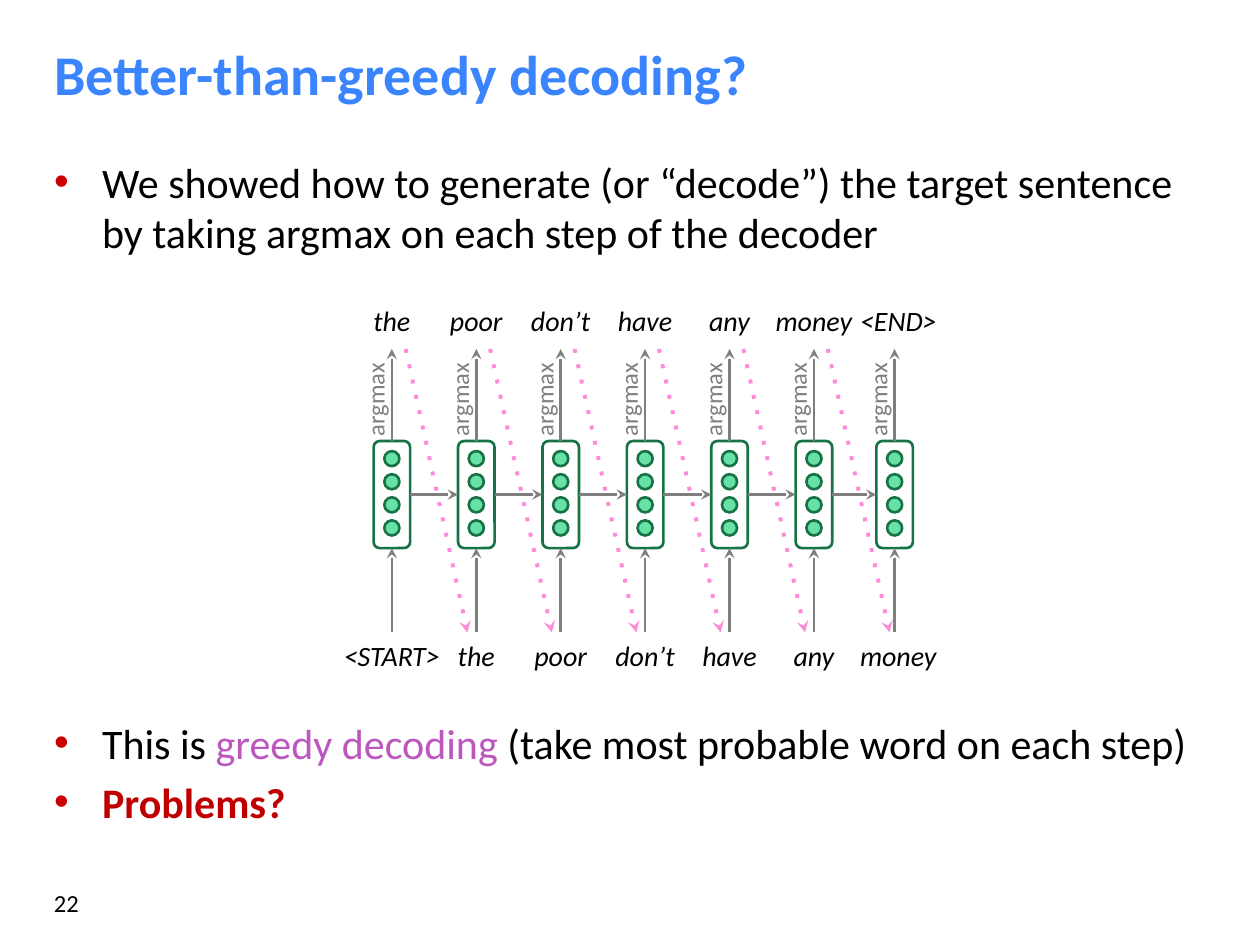
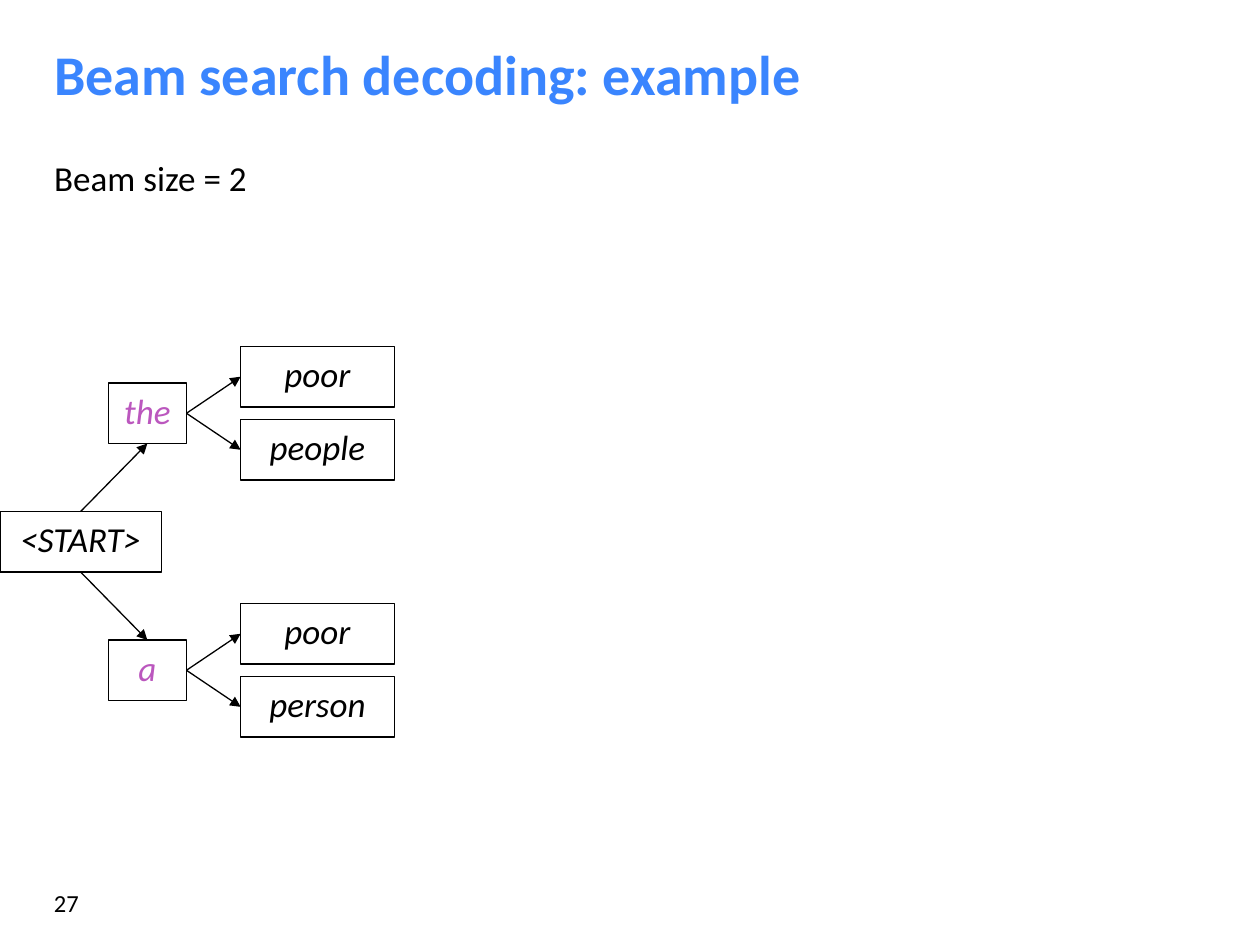
from dataclasses import dataclass

import lxml.etree
import pptx
import pptx.dml.color
import pptx.enum.shapes
import pptx.enum.text
import pptx.oxml.ns
import pptx.util

Inches = pptx.util.Inches
Shapes = pptx.enum.shapes.MSO_SHAPE
Align = pptx.enum.text.PP_ALIGN
Anchor = pptx.enum.text.MSO_ANCHOR
TOP, LEFT, BOTTOM, RIGHT = range(4)


@dataclass(frozen=True)
class Theme:
    font: str = "Calibri"
    title: str = "3A85FE"
    text: str = "000000"
    bullet: str = "CC0000"
    warning: str = "C00000"
    highlight: str = "BB57BE"
    cell_line: str = "177245"
    cell_fill: str = "42DA8F"
    arrow: str = "7F7F7F"
    feedback: str = "FF8AD8"
    title_size: int = 32
    list_size: int = 24
    tree_size: int = 20
    word_size: int = 16
    small_size: int = 14


THEME = Theme()


# Shared helpers
def rgb(value):
    return pptx.dml.color.RGBColor.from_string(value)


def add_xml(parent, tag, **attributes):
    return lxml.etree.SubElement(parent, pptx.oxml.ns.qn(tag), attributes)


def add_run(paragraph, text, size, color=THEME.text, bold=False, italic=False):
    run = paragraph.add_run()
    run.text = text
    run.font.name = THEME.font
    run.font.size = pptx.util.Pt(size)
    run.font.bold = bold
    run.font.italic = italic
    run.font.color.rgb = rgb(color)


def place(shape, left, top, width, height):
    shape.left, shape.top = Inches(left), Inches(top)
    shape.width, shape.height = Inches(width), Inches(height)


def prepare_frame(shape, anchor=Anchor.TOP):
    frame = shape.text_frame
    frame.word_wrap = True
    frame.auto_size = pptx.enum.text.MSO_AUTO_SIZE.NONE
    frame.vertical_anchor = anchor
    return frame


def add_label(slide, text, left, top, width, height, size,
              color=THEME.text, italic=False, align=Align.CENTER):
    box = slide.shapes.add_textbox(
        Inches(left), Inches(top), Inches(width), Inches(height))
    paragraph = prepare_frame(box).paragraphs[0]
    paragraph.alignment = align
    add_run(paragraph, text, size, color, italic=italic)
    return box


def add_outline(slide, kind, left, top, width, height, color, weight):
    shape = slide.shapes.add_shape(
        kind, Inches(left), Inches(top), Inches(width), Inches(height))
    shape.shadow.inherit = False
    shape.fill.background()
    shape.line.color.rgb = rgb(color)
    shape.line.width = pptx.util.Pt(weight)
    return shape


def add_arrow(slide, start, end, color, weight, head, dash=None):
    """Draw an arrow; each end is a point or a (shape, side) pair."""
    points = [(0, 0) if hasattr(stop[0], "shape_id") else stop
              for stop in (start, end)]
    connector = slide.shapes.add_connector(
        pptx.enum.shapes.MSO_CONNECTOR.STRAIGHT,
        *(Inches(value) for point in points for value in point))
    if hasattr(start[0], "shape_id"):
        connector.begin_connect(*start)
    if hasattr(end[0], "shape_id"):
        connector.end_connect(*end)
    connector.line.color.rgb = rgb(color)
    connector.line.width = pptx.util.Pt(weight)
    properties = connector.element.spPr
    line = properties.find(pptx.oxml.ns.qn("a:ln"))
    if dash:
        add_xml(line, "a:prstDash", val=dash)
    add_xml(line, "a:tailEnd", type=head)
    add_xml(properties, "a:effectLst")


def start_slide(presentation, title, number):
    """Add a slide with its title and page number; return it and its body."""
    slide = presentation.slides.add_slide(presentation.slide_layouts[1])
    place(slide.shapes.title, 0.33, 0.21, 9.33, 0.69)
    paragraph = prepare_frame(slide.shapes.title, Anchor.BOTTOM).paragraphs[0]
    paragraph.alignment = Align.LEFT
    add_run(paragraph, title, THEME.title_size, THEME.title, bold=True)
    add_label(slide, str(number), 0.33, 7, 2.17, 0.5, THEME.small_size,
              align=Align.LEFT)
    return slide, slide.placeholders[1]


def set_bullet(paragraph, space_before):
    properties = paragraph._p.get_or_add_pPr()
    properties.set("marL", str(Inches(0.38)))
    properties.set("indent", str(-Inches(0.38)))
    add_xml(add_xml(properties, "a:buClr"), "a:srgbClr", val=THEME.bullet)
    add_xml(properties, "a:buFont", typeface="Arial")
    add_xml(properties, "a:buChar", char="•")
    paragraph.space_before = pptx.util.Pt(space_before)


# Greedy decoding slide
def add_cell(slide, center, top):
    """One decoder state: a rounded frame holding four units."""
    width, height, unit = 0.29, 0.85, 0.12
    for index in range(4):
        dot = add_outline(slide, Shapes.OVAL, center - unit / 2,
                          top + 0.08 + index * 0.55 / 3, unit, unit,
                          THEME.cell_line, 1.5)
        dot.fill.solid()
        dot.fill.fore_color.rgb = rgb(THEME.cell_fill)
        fill_color = dot.element.spPr.find(
            pptx.oxml.ns.qn("a:solidFill")).find(pptx.oxml.ns.qn("a:srgbClr"))
        add_xml(fill_color, "a:alpha", val="80000")
    frame = add_outline(slide, Shapes.ROUNDED_RECTANGLE, center - width / 2,
                        top, width, height, THEME.cell_line, 1.5)
    frame.adjustments[0] = 0.167
    return frame


def add_decoder(slide, left, top):
    sentence = ["the", "poor", "don’t", "have", "any", "money"]
    outputs = sentence + ["<END>"]
    inputs = ["<START>"] + sentence
    pitch = 0.67
    word_centers = [left + 0.5 + pitch * index for index in range(len(inputs))]
    # The last state sits slightly closer to its neighbour
    cell_centers = word_centers[:-1] + [word_centers[-1] - 0.03]
    output_tip, cell_top, input_start = top + 0.41, top + 1.14, top + 2.66
    gray_arrow = (THEME.arrow, 1.5, "stealth")

    # States, arrows and argmax labels
    previous = None
    for center in cell_centers:
        cell = add_cell(slide, center, cell_top)
        add_arrow(slide, (center, input_start), (cell, BOTTOM), *gray_arrow)
        add_arrow(slide, (cell, TOP), (center, output_tip), *gray_arrow)
        if previous is not None:
            add_arrow(slide, (previous, RIGHT), (cell, LEFT), *gray_arrow)
        previous = cell
        label = add_label(slide, "argmax", center - 0.56, top + 0.64, 0.86,
                          0.34, THEME.small_size, THEME.arrow)
        label.rotation = 270

    # Each output fed back as the next input
    for center in cell_centers[:-1]:
        add_arrow(slide, (center + 0.11, output_tip),
                  (center + 0.6, input_start),
                  THEME.feedback, 2.25, "stealth", dash="dot")

    # Words above and below the states
    for words, word_top in ((outputs, top), (inputs, input_start)):
        for word, center in zip(words, word_centers):
            add_label(slide, word, center - 0.5, word_top, 1, 0.37,
                      THEME.word_size, italic=True)


def build_greedy_slide(presentation):
    slide, body = start_slide(presentation, "Better-than-greedy decoding?", 22)
    place(body, 0.33, 1.19, 9.33, 5.64)
    frame = prepare_frame(body)
    # Space before each item (the second clears the diagram), then its runs
    items = [
        (0, [("We showed how to generate (or “decode”) the target sentence "
              "by taking argmax on each step of the decoder", THEME.text, False)]),
        (263, [("This is ", THEME.text, False),
               ("greedy decoding ", THEME.highlight, False),
               ("(take most probable word on each step)", THEME.text, False)]),
        (4.8, [("Problems?", THEME.warning, True)]),
    ]
    for index, (space_before, runs) in enumerate(items):
        paragraph = frame.add_paragraph() if index else frame.paragraphs[0]
        set_bullet(paragraph, space_before)
        for text, color, bold in runs:
            add_run(paragraph, text, THEME.list_size, color, bold)
    add_decoder(slide, 2.61, 2.36)


# Beam search slide
def add_node(slide, word, left, middle, width, color=THEME.text):
    height = 0.48
    node = add_outline(slide, Shapes.RECTANGLE, left, middle - height / 2,
                       width, height, THEME.text, 0.75)
    paragraph = prepare_frame(node).paragraphs[0]
    paragraph.alignment = Align.CENTER
    add_run(paragraph, word, THEME.tree_size, color, italic=True)
    return node


def add_beam_tree(slide, left, middle):
    black_arrow = (THEME.text, 0.75, "triangle")
    branches = [
        ("the", -1.02, TOP, BOTTOM, ["poor", "people"]),
        ("a", 1.02, BOTTOM, TOP, ["poor", "person"]),
    ]
    start = add_node(slide, "<START>", left, middle, 1.28)
    for word, offset, start_side, node_side, next_words in branches:
        branch_middle = middle + offset
        node = add_node(slide, word, left + 0.86, branch_middle, 0.62,
                        THEME.highlight)
        add_arrow(slide, (start, start_side), (node, node_side), *black_arrow)
        for next_word, shift in zip(next_words, (-0.29, 0.29)):
            leaf = add_node(slide, next_word, left + 1.91,
                            branch_middle + shift, 1.22)
            add_arrow(slide, (node, RIGHT), (leaf, LEFT), *black_arrow)


def build_beam_slide(presentation):
    slide, body = start_slide(presentation, "Beam search decoding: example", 27)
    place(body, 0.33, 1.19, 1.82, 0.48)
    paragraph = prepare_frame(body).paragraphs[0]
    properties = paragraph._p.get_or_add_pPr()
    properties.set("marL", "0")
    properties.set("indent", "0")
    add_xml(properties, "a:buNone")
    paragraph.space_before = pptx.util.Pt(0)
    add_run(paragraph, "Beam size = 2", THEME.tree_size)
    add_beam_tree(slide, 0, 4.3)


def main():
    presentation = pptx.Presentation()
    presentation.slide_width = Inches(10)
    presentation.slide_height = Inches(7.5)
    build_greedy_slide(presentation)
    build_beam_slide(presentation)
    presentation.save("out.pptx")


if __name__ == "__main__":
    main()
